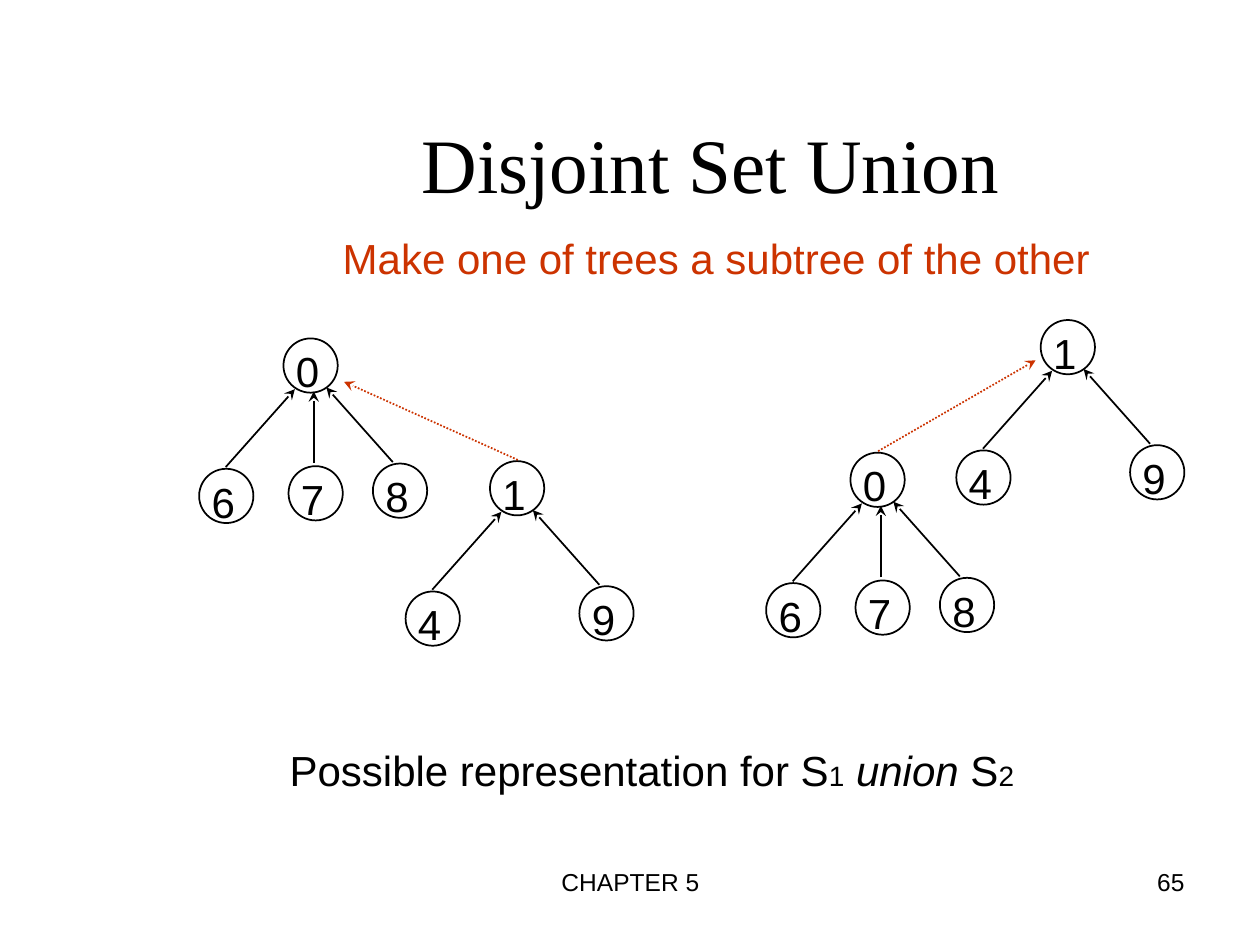
from lxml.etree import SubElement
from pptx import Presentation
from pptx.dml.color import RGBColor
from pptx.enum.dml import MSO_LINE
from pptx.enum.shapes import MSO_CONNECTOR, MSO_SHAPE
from pptx.enum.text import MSO_ANCHOR, MSO_AUTO_SIZE, PP_ALIGN
from pptx.oxml.ns import qn
from pptx.util import Pt

COLORS = {"ink": "000000", "accent": "CC3300"}
NODE_SIZE = 31
# Per branch, relative to the parent node: child place, arrow start, arrow end
BRANCHES = {
    "left": ((-48.2, 74.5), (-33, 73.5), (6.5, 29)),
    "middle": ((2.9, 73), (17.3, 71.3), (17.3, 30.3)),
    "right": ((51.1, 71.5), (62.5, 70.7), (24.5, 28)),
}
ZERO_TREE = ("0", {"left": "6", "middle": "7", "right": "8"})
ONE_TREE = ("1", {"left": "4", "right": "9"})


class SlideBuilder:
    def __init__(self, slide, font="Arial", title_font="Times New Roman", body_size=24):
        self.slide = slide
        self.font = font
        self.title_font = title_font
        self.body_size = body_size

    def color(self, name):
        return RGBColor.from_string(COLORS[name])

    def style(self, font, name, size, color="ink"):
        font.name = name
        font.size = Pt(size)
        font.color.rgb = self.color(color)

    def title(self, text, x, y, w, h):
        title = self.slide.shapes.title
        title.left, title.top, title.width, title.height = map(Pt, (x, y, w, h))
        title.text_frame.text = text
        title.text_frame.vertical_anchor = MSO_ANCHOR.MIDDLE
        paragraph = title.text_frame.paragraphs[0]
        paragraph.alignment = PP_ALIGN.CENTER
        self.style(paragraph.font, self.title_font, 44)

    def text(self, parts, x, y, w, h, size=None, color="ink",
             align=PP_ALIGN.LEFT, wrap=False):
        """Add one line of text; parts are (text, size or None, italic)."""
        frame = self.slide.shapes.add_textbox(*map(Pt, (x, y, w, h))).text_frame
        frame.word_wrap = wrap
        frame.auto_size = MSO_AUTO_SIZE.NONE if wrap else MSO_AUTO_SIZE.SHAPE_TO_FIT_TEXT
        paragraph = frame.paragraphs[0]
        paragraph.alignment = align
        self.style(paragraph.font, self.font, size or self.body_size, color)
        for words, part_size, italic in parts:
            run = paragraph.add_run()
            run.text = words
            if part_size:
                run.font.size = Pt(part_size)
            if italic:
                run.font.italic = True

    def node(self, label, x, y):
        circle = self.slide.shapes.add_shape(
            MSO_SHAPE.OVAL, Pt(x), Pt(y), Pt(NODE_SIZE), Pt(NODE_SIZE))
        circle.shadow.inherit = False
        circle.fill.background()
        circle.line.color.rgb = self.color("ink")
        circle.line.width = Pt(1)
        self.text([(label, None, False)], x, y + 0.6, 28, 36)

    def arrow(self, start, end, color="ink", dotted=False):
        arrow = self.slide.shapes.add_connector(
            MSO_CONNECTOR.STRAIGHT, *map(Pt, (*start, *end)))
        arrow.line.color.rgb = self.color(color)
        arrow.line.width = Pt(1)
        if dotted:
            arrow.line.dash_style = MSO_LINE.ROUND_DOT
        properties = arrow.line._get_or_add_ln()
        SubElement(properties, qn("a:tailEnd"), type="stealth")
        SubElement(arrow._element.spPr, qn("a:effectLst"))

    def tree(self, tree, x, y):
        """Draw a root at (x, y) and its children, each pointing to the root."""
        root, children = tree
        self.node(root, x, y)
        for branch, label in children.items():
            child, start, end = [(x + dx, y + dy) for dx, dy in BRANCHES[branch]]
            self.node(label, *child)
            self.arrow(start, end)


def main():
    presentation = Presentation()
    presentation.slide_width, presentation.slide_height = Pt(720), Pt(540)
    builder = SlideBuilder(presentation.slides.add_slide(presentation.slide_layouts[5]))

    builder.title("Disjoint Set Union", 45.4, 48.2, 721.4, 90)
    builder.text([("Make one of trees a subtree of the other", None, False)],
                 188.6, 129.6, 441.4, 36, color="accent", align=PP_ALIGN.CENTER)

    builder.tree(ONE_TREE, 280, 263.5)
    builder.tree(ZERO_TREE, 162, 193.4)
    builder.arrow((295.9, 262.8), (196.6, 218.2), "accent", dotted=True)

    builder.tree(ONE_TREE, 594.7, 182.9)
    builder.tree(ZERO_TREE, 486, 258.7)
    builder.arrow((501.8, 257.8), (591.8, 205.9), "accent", dotted=True)

    builder.text([("Possible representation for S", None, False), ("1", 16, False),
                  (" ", None, False), ("union", None, True),
                  (" S", None, False), ("2", 16, False)], 158.4, 421.9, 428.4, 36)
    builder.text([("CHAPTER 5", None, False)], 246.2, 491.8, 228.2, 37.4,
                 size=14, align=PP_ALIGN.CENTER, wrap=True)
    builder.text([("65", None, False)], 516.2, 491.8, 167.8, 37.4,
                 size=14, align=PP_ALIGN.RIGHT, wrap=True)
    presentation.save("out.pptx")


if __name__ == "__main__":
    main()
